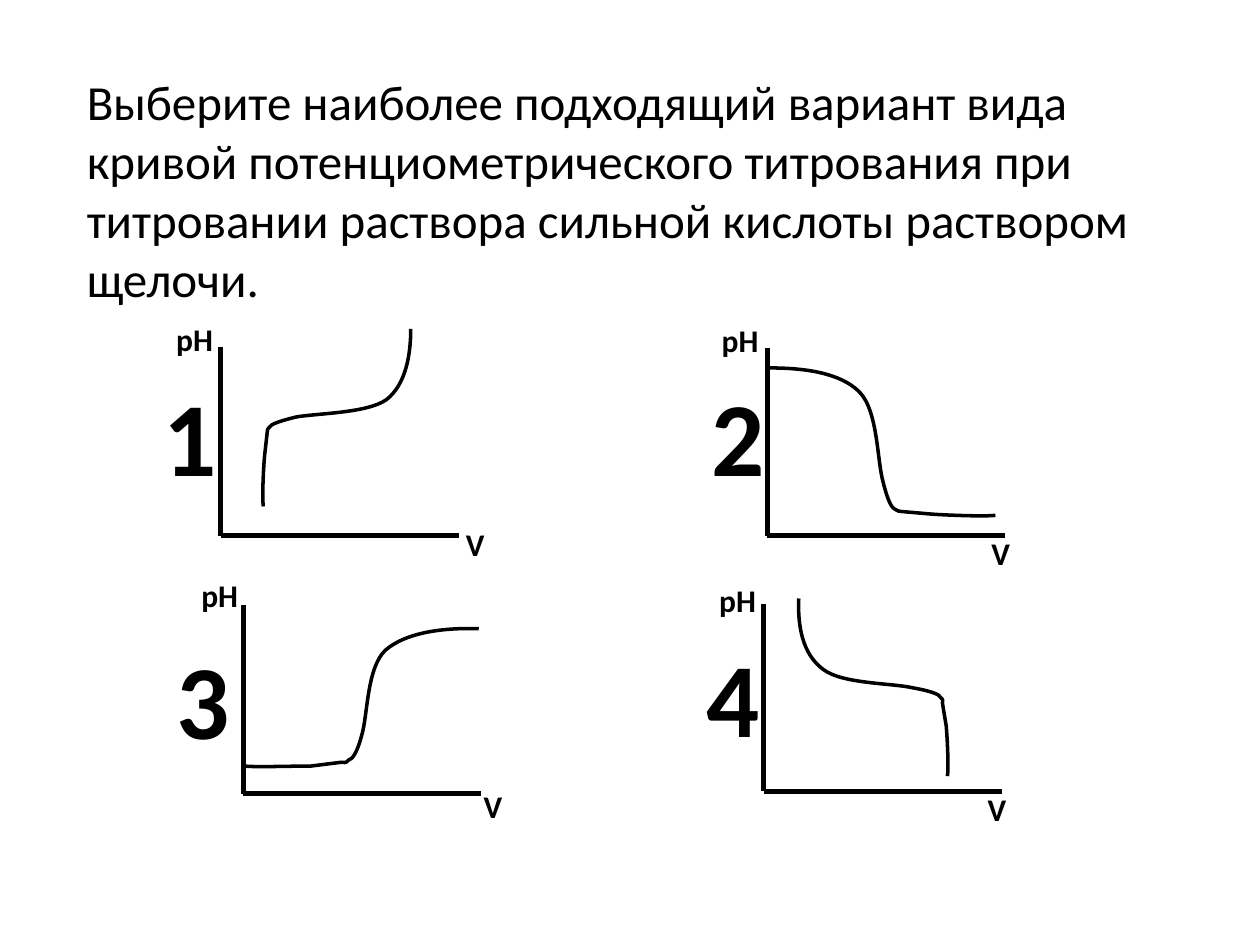
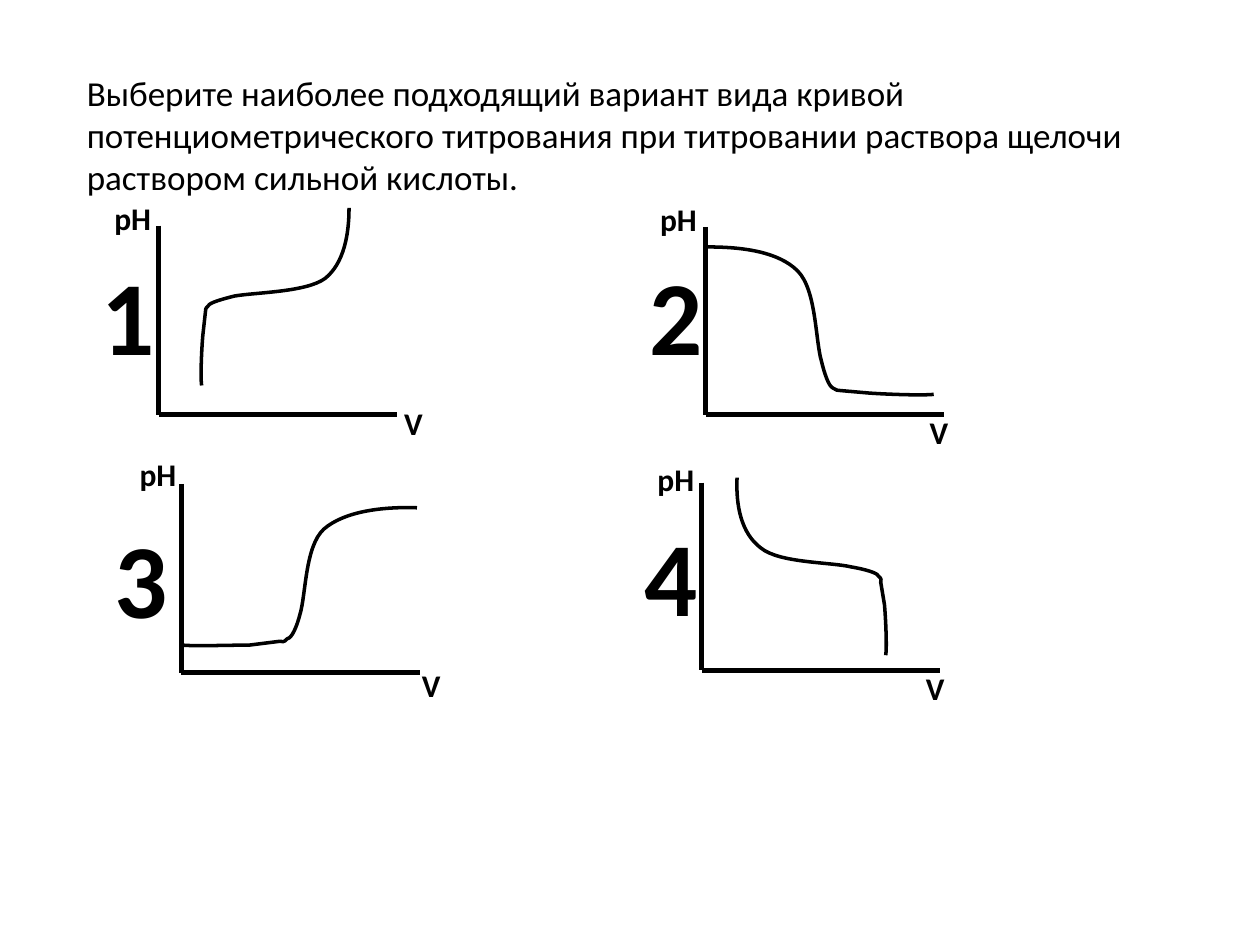
"""Builds two quiz slides on the shapes of potentiometric titration curves."""
from lxml import etree
from pptx import Presentation
from pptx import util as u
from pptx.dml.color import RGBColor
from pptx.enum import shapes, text
from pptx.oxml.ns import qn

BLACK = RGBColor(0x00, 0x00, 0x00)
FONT = "Calibri"
AXIS_W = 1.89

GRAPHS = [
    {"number": ("3", 1.3, 4.99), "origin": (1.93, 6.3), "top": 4.8,
     "ph": (1.5, 4.52), "v": (3.74, 6.2), "start": (1.94, 6.08),
     "curve": [[(2.02, 6.09), (2.32, 6.08), (2.47, 6.08)],
               [(2.71, 6.05)],
               [(2.76, 6.06), (2.75, 6.04), (2.77, 6.03)],
               [(2.79, 6.03), (2.83, 5.99), (2.87, 5.84)],
               [(2.92, 5.68), (2.91, 5.3), (3.06, 5.16)],
               [(3.22, 5.02), (3.52, 4.98), (3.8, 4.99)]]},
    {"number": ("2", 5.55, 2.9), "origin": (6.09, 4.25), "top": 2.76,
     "ph": (5.63, 2.5), "v": (7.77, 4.19), "start": (7.9, 4.09),
     "curve": [[(7.82, 4.1), (7.53, 4.09), (7.39, 4.08)],
               [(7.16, 4.06)],
               [(7.11, 4.06), (7.12, 4.04), (7.1, 4.04)],
               [(7.08, 4.03), (7.05, 3.99), (7.01, 3.83)],
               [(6.96, 3.66), (6.97, 3.26), (6.82, 3.11)],
               [(6.67, 2.96), (6.39, 2.92), (6.11, 2.92)]]},
    {"number": ("1", 1.2, 2.9), "origin": (1.75, 4.25), "top": 2.75,
     "ph": (1.3, 2.49), "v": (3.6, 4.12), "start": (2.09, 4.02),
     "curve": [[(2.08, 3.95), (2.09, 3.73), (2.1, 3.62)],
               [(2.12, 3.44)],
               [(2.12, 3.39), (2.14, 3.4), (2.14, 3.39)],
               [(2.15, 3.37), (2.19, 3.35), (2.35, 3.31)],
               [(2.52, 3.28), (2.92, 3.28), (3.07, 3.17)],
               [(3.22, 3.05), (3.26, 2.82), (3.26, 2.61)]]},
    {"number": ("4", 5.51, 4.97), "origin": (6.06, 6.28), "top": 4.79,
     "ph": (5.61, 4.56), "v": (7.74, 6.22), "start": (7.52, 6.16),
     "curve": [[(7.53, 6.1), (7.52, 5.87), (7.51, 5.76)],
               [(7.48, 5.58)],
               [(7.49, 5.54), (7.47, 5.55), (7.46, 5.53)],
               [(7.46, 5.52), (7.42, 5.49), (7.25, 5.46)],
               [(7.08, 5.42), (6.68, 5.43), (6.53, 5.31)],
               [(6.37, 5.19), (6.33, 4.97), (6.34, 4.75)]]},
]

QUESTIONS = [
    {"task": "Выберите наиболее подходящий вариант вида кривой потенциометрического "
             "титрования при титровании раствора сильной кислоты раствором щелочи.",
     "size": 28, "height": 1.99, "shift": (0, 0)},
    {"task": "Выберите наиболее подходящий вариант вида кривой потенциометрического "
             "титрования при титровании раствора щелочи раствором сильной кислоты.",
     "size": 20, "height": 1.11, "shift": (-0.49, -0.96)},
]


class Deck:
    """Holds the presentation style, the current slide and its graph offset."""

    def __init__(self):
        self.prs = Presentation()
        self.prs.slide_width, self.prs.slide_height = u.Inches(10), u.Inches(7.5)

    def new_slide(self):
        """Start a blank slide with no offset."""
        self.s = self.prs.slides.add_slide(self.prs.slide_layouts[6])
        self.shift = (0, 0)

    def place(self, x, y):
        """Turn inches into a shifted slide position."""
        return u.Inches(x + self.shift[0]), u.Inches(y + self.shift[1])

    def label(self, words, x, y, w, h, size, bold=True):
        """Add a one-paragraph text box."""
        sp = self.s.shapes.add_textbox(*self.place(x, y), u.Inches(w), u.Inches(h))
        tf = sp.text_frame
        tf.word_wrap = True
        tf.auto_size = text.MSO_AUTO_SIZE.SHAPE_TO_FIT_TEXT
        r = tf.paragraphs[0].add_run()
        r.text = words
        for name, value in {"name": FONT, "size": u.Pt(size), "bold": bold}.items():
            setattr(r.font, name, value)
        r.font.color.rgb = BLACK

    def stroke(self, sp, width):
        """Give an outline the shared colour."""
        sp.line.color.rgb = BLACK
        sp.line.width = u.Pt(width)

    def axis(self, start, end):
        """Add a straight axis line."""
        sp = self.s.shapes.add_connector(shapes.MSO_CONNECTOR.STRAIGHT,
                                         *self.place(*start), *self.place(*end))
        self.stroke(sp, 3)
        etree.SubElement(sp._element.spPr, qn("a:effectLst"))

    def curve(self, start, segments):
        """Add an open curve of straight and cubic Bezier segments."""
        fb = self.s.shapes.build_freeform(*self.place(*start))
        fb.add_line_segments([self.place(*p) for seg in segments for p in seg], close=False)
        sp = fb.convert_to_shape()
        steps = iter(sp._element.findall(".//" + qn("a:lnTo")))
        for segment in segments:
            first, *others = [next(steps) for _ in segment]
            if others:
                bezier = etree.Element(qn("a:cubicBezTo"))
                first.addprevious(bezier)
                for step in (first, *others):
                    bezier.append(step[0])
                    step.getparent().remove(step)
        sp.shadow.inherit = False
        sp.fill.background()
        self.stroke(sp, 2)

    def graph(self, g):
        """Add the axes, axis labels and curve of one titration graph."""
        x, y = g["origin"]
        self.axis((x, g["top"]), (x, y))
        self.axis((x + AXIS_W, y), (x, y))
        for words, key in (("рН", "ph"), ("V", "v")):
            self.label(words, *g[key], 0.63, 0.4, 18)
        self.curve(g["start"], g["curve"])


def main():
    """Build and save the slides."""
    deck = Deck()
    for q in QUESTIONS:
        deck.new_slide()
        deck.label(q["task"], 0.59, 0.52, 8.82, q["height"], q["size"], bold=False)
        deck.shift = q["shift"]
        for g in GRAPHS:
            deck.graph(g)
        for number in sorted(g["number"] for g in GRAPHS):
            deck.label(*number, 0.4, 1.11, 60)
    deck.prs.save("out.pptx")


if __name__ == "__main__":
    main()
